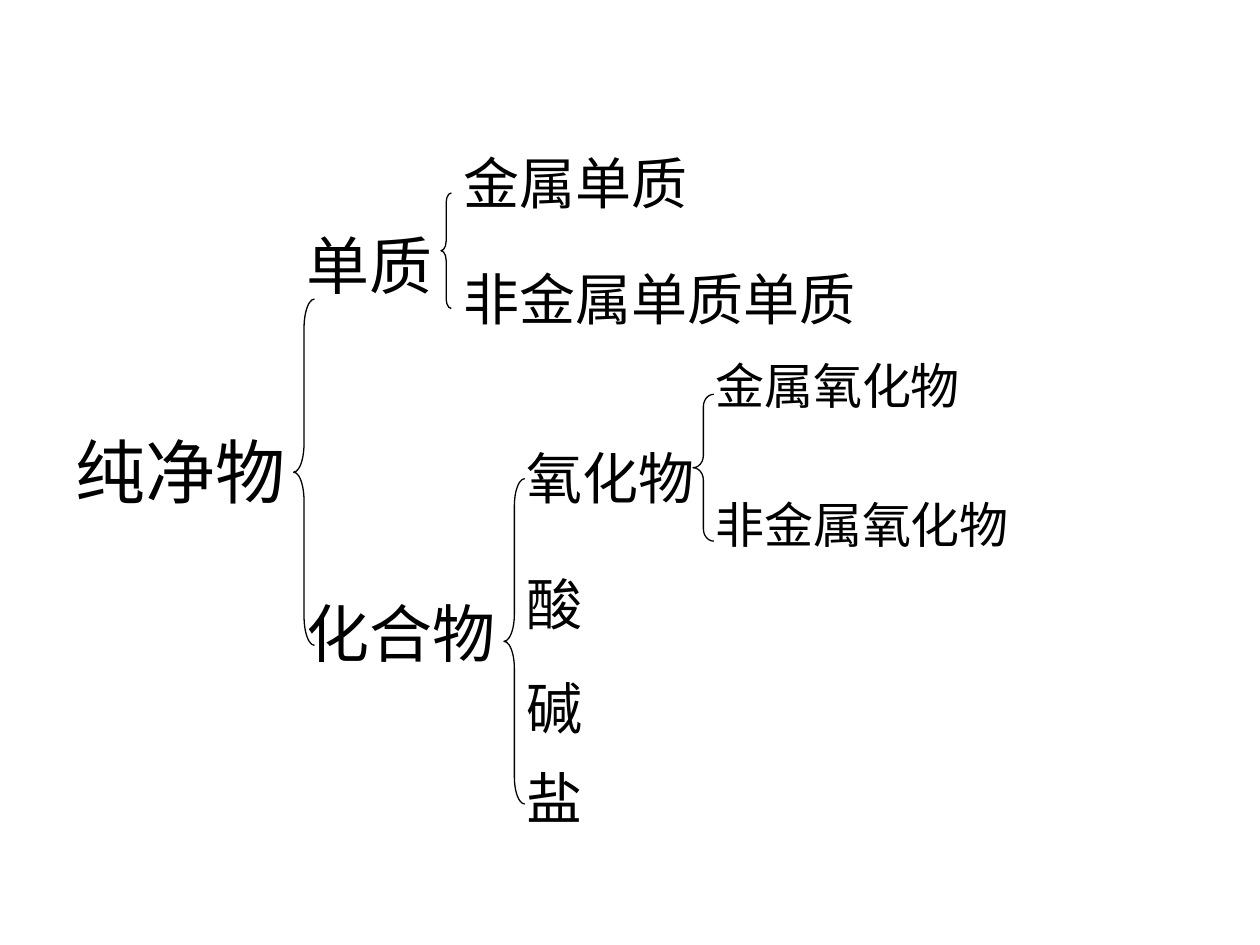
import pptx
import pptx.dml.color
import pptx.enum.shapes
import pptx.enum.text
import pptx.oxml.ns
import pptx.util
from lxml import etree

Cm, Pt = pptx.util.Cm, pptx.util.Pt
BLACK = pptx.dml.color.RGBColor(0, 0, 0)
FONT = "Noto Sans CJK SC"
LABEL_HEIGHT = 1.96

FRAME_FORMAT = {
    "word_wrap": True,
    "auto_size": pptx.enum.text.MSO_AUTO_SIZE.NONE,
    "vertical_anchor": pptx.enum.text.MSO_ANCHOR.MIDDLE,
}

# Brace box in cm, text size, label indent from the brace, then each label
# with its drop from the top of the brace and its width.
BRANCHES = [
    ((5.92, 6.03, 0.42, 6.98), 36, 0,
     [("单质", -1.69, 4.65), ("化合物", 5.73, 5.92)]),
    ((8.89, 3.89, 0.21, 2.33), 32, 0.2,
     [("金属单质", -1.2, 6.35), ("非金属单质单质", 1.14, 11.63)]),
    ((10.16, 9.65, 0.42, 6.56), 32, 0.2,
     [("氧化物", -1.01, 5.28), ("酸", 1.53, 2.54),
      ("碱", 3.63, 2.54), ("盐", 5.44, 2.54)]),
    ((13.97, 7.95, 0.42, 2.96), 28, 0.2,
     [("金属氧化物", -1.17, 8.05), ("非金属氧化物", 1.63, 9.32)]),
]


def add_label(slide, text, left, top, width, size):
    shape = slide.shapes.add_textbox(
        Cm(left), Cm(top), Cm(width), Cm(LABEL_HEIGHT))
    for name, value in FRAME_FORMAT.items():
        setattr(shape.text_frame, name, value)
    run = shape.text_frame.paragraphs[0].add_run()
    run.text = text
    for name, value in {"name": FONT, "size": Pt(size)}.items():
        setattr(run.font, name, value)
    run.font.color.rgb = BLACK
    east_asian = etree.SubElement(
        run._r.get_or_add_rPr(), pptx.oxml.ns.qn("a:ea"))
    east_asian.set("typeface", FONT)


def add_brace(slide, left, top, width, height):
    """Draw a left brace whose curves each take a twelfth of its height."""
    shape = slide.shapes.add_shape(
        pptx.enum.shapes.MSO_SHAPE.LEFT_BRACE,
        Cm(left), Cm(top), Cm(width), Cm(height))
    shape.adjustments[0] = height / 12 / width
    shape.shadow.inherit = False
    shape.fill.background()
    shape.line.color.rgb = BLACK
    shape.line.width = Pt(0.75)


def add_branch(slide, box, size, indent, labels):
    """Draw a brace in the box and its labels relative to the box."""
    left, top = box[:2]
    add_brace(slide, *box)
    for text, drop, width in labels:
        add_label(slide, text, left + indent, top + drop, width, size)


def main():
    presentation = pptx.Presentation()
    presentation.slide_width = Cm(25.4)
    presentation.slide_height = Cm(19.05)
    slide = presentation.slides.add_slide(presentation.slide_layouts[6])
    add_label(slide, "纯净物", 1.27, 8.51, 5.51, 40)
    for branch in BRANCHES:
        add_branch(slide, *branch)
    presentation.save("out.pptx")


if __name__ == "__main__":
    main()
